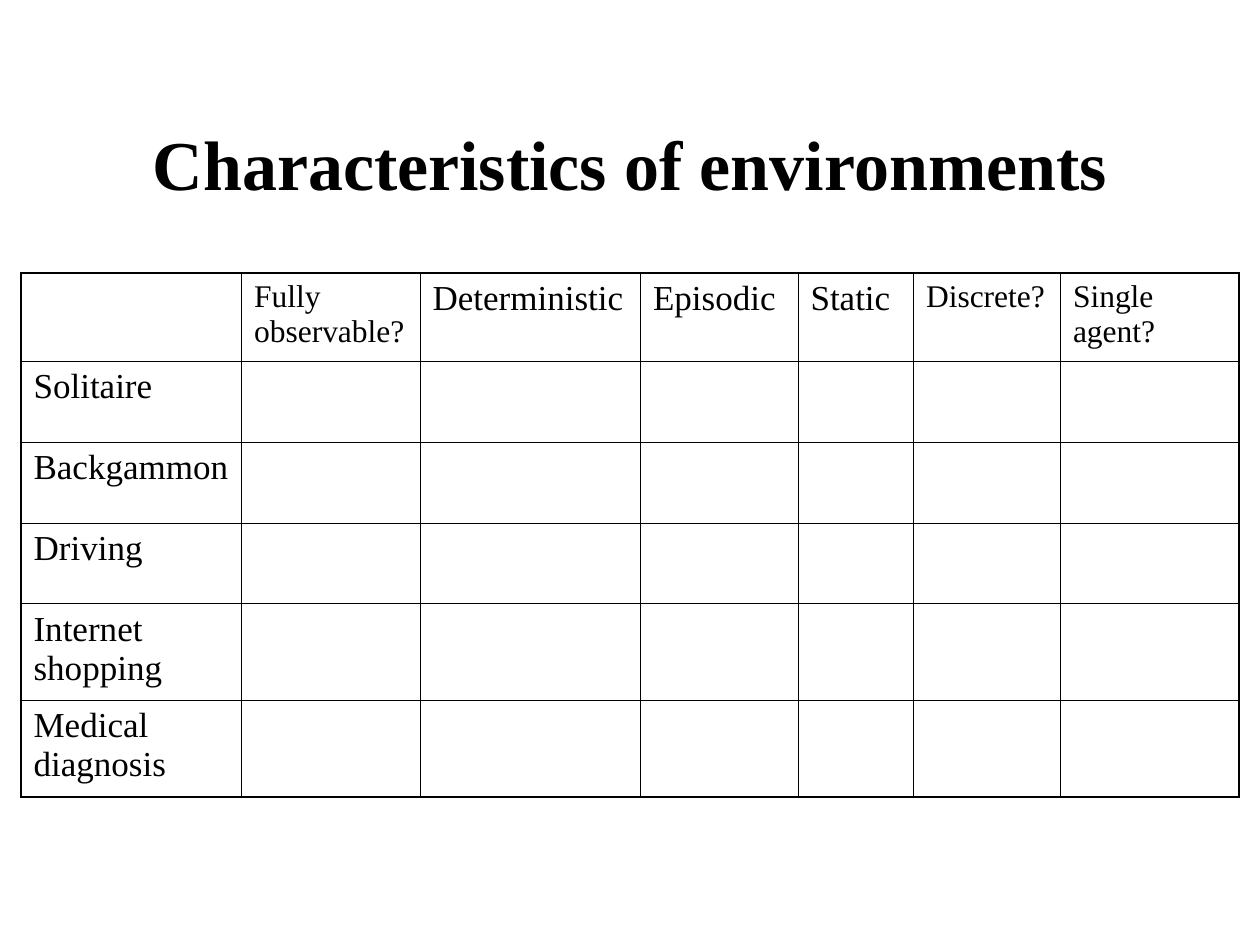
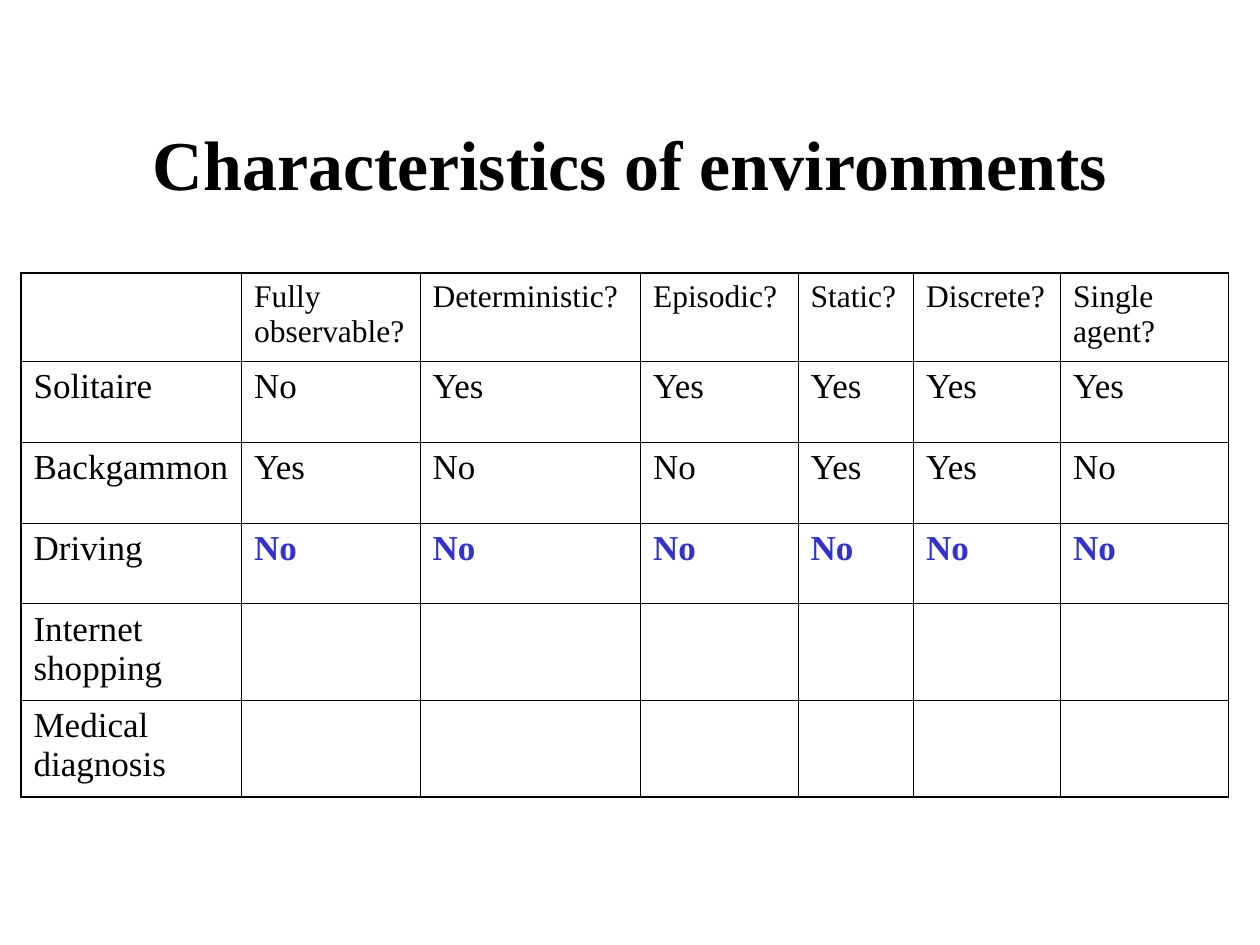
"""Build two slides that compare task environments in a table."""
from dataclasses import dataclass
from lxml import etree
from pptx import Presentation, util as u
from pptx.dml.color import RGBColor
from pptx.enum import text as t
from pptx.oxml import ns


@dataclass(frozen=True)
class Theme:
    """Colours, type sizes and line widths of the deck."""
    face: str = "Times New Roman"
    ink: str = "000000"
    accent: str = "3333CC"
    title: int = 40
    body: int = 20
    small: int = 18
    frame: float = 1.08
    rule: float = 0.45


THEME = Theme()
WIDE, HIGH = u.Inches(10), u.Inches(7.5)
UNIT = WIDE // 120
TITLE = "Characteristics of environments"
TITLE_BOX = (9, 8, 102, 15)
ORIGIN = (2, 26)
COLS = (21, 17, 21, 15, 11, 14)
ROWS = (8.4, 7.7, 7.7, 7.7, 9.2, 9.2)
TASKS = ("Solitaire", "Backgammon", "Driving", "Internet shopping", "Medical diagnosis")
BLANK = ("",) * 6


def grid(*units):
    """Turn grid units into lengths."""
    return [round(n * UNIT) for n in units]


def style(para, size, color=THEME.ink, bold=False):
    """Set the font of a paragraph."""
    font = para.font
    font.name, font.size, font.bold = THEME.face, u.Pt(size), bold
    font.color.rgb = RGBColor.from_string(color)


def heading(slide, box):
    """Put the centred title in its box."""
    frame = slide.shapes.add_textbox(*grid(*box)).text_frame
    frame.word_wrap = True
    frame.vertical_anchor = t.MSO_ANCHOR.MIDDLE
    para = frame.paragraphs[0]
    para.text = TITLE
    para.alignment = t.PP_ALIGN.CENTER
    style(para, THEME.title, bold=True)


def border(cell, outer):
    """Draw the four cell edges, heavier on the outer ones."""
    props = cell._tc.get_or_add_tcPr()
    for side in "LRTB":
        width = THEME.frame if side in outer else THEME.rule
        line = etree.SubElement(props, ns.qn(f"a:ln{side}"), w=str(u.Pt(width)))
        fill = etree.SubElement(line, ns.qn("a:solidFill"))
        etree.SubElement(fill, ns.qn("a:srgbClr"), val=THEME.ink)


def matrix(slide, origin, cols, data, small, marked):
    """Place the ruled table, with small headers and one marked row."""
    left, top = origin
    box = grid(left, top, sum(cols), sum(ROWS))
    table = slide.shapes.add_table(len(data), len(cols), *box).table
    table.first_row = table.horz_banding = False
    for col, width in zip(table.columns, grid(*cols)):
        col.width = width
    for row, height in zip(table.rows, grid(*ROWS)):
        row.height = height
    for r, words in enumerate(data):
        for c, word in enumerate(words):
            cell = table.cell(r, c)
            edges = {"L": c == 0, "R": c == len(cols) - 1,
                     "T": r == 0, "B": r == len(data) - 1}
            border(cell, [side for side, outer in edges.items() if outer])
            cell.fill.background()
            para = cell.text_frame.paragraphs[0]
            para.text = word
            size = THEME.small if r == 0 and c in small else THEME.body
            hot = r == marked and c > 0
            style(para, size, THEME.accent if hot else THEME.ink, hot)


def page(deck, heads, answers, last, small, marked=None):
    """Add one slide with the title and the table."""
    slide = deck.slides.add_slide(deck.slide_layouts[6])
    heading(slide, TITLE_BOX)
    data = [("", *heads)] + [(task, *row) for task, row in zip(TASKS, answers)]
    matrix(slide, ORIGIN, (*COLS, last), data, small, marked)


def main():
    """Build and save the deck."""
    deck = Presentation()
    deck.slide_width, deck.slide_height = WIDE, HIGH
    page(deck,
         ("Fully observable?", "Deterministic", "Episodic", "Static",
          "Discrete?", "Single agent?"),
         [BLANK] * 5, last=17, small=(1, 5, 6))
    page(deck,
         ("Fully observable?", "Deterministic?", "Episodic?", "Static?",
          "Discrete?", "Single agent?"),
         [("No", "Yes", "Yes", "Yes", "Yes", "Yes"),
          ("Yes", "No", "No", "Yes", "Yes", "No"),
          ("No",) * 6, BLANK, BLANK],
         last=16, small=range(1, 7), marked=3)
    deck.save("out.pptx")


if __name__ == "__main__":
    main()
